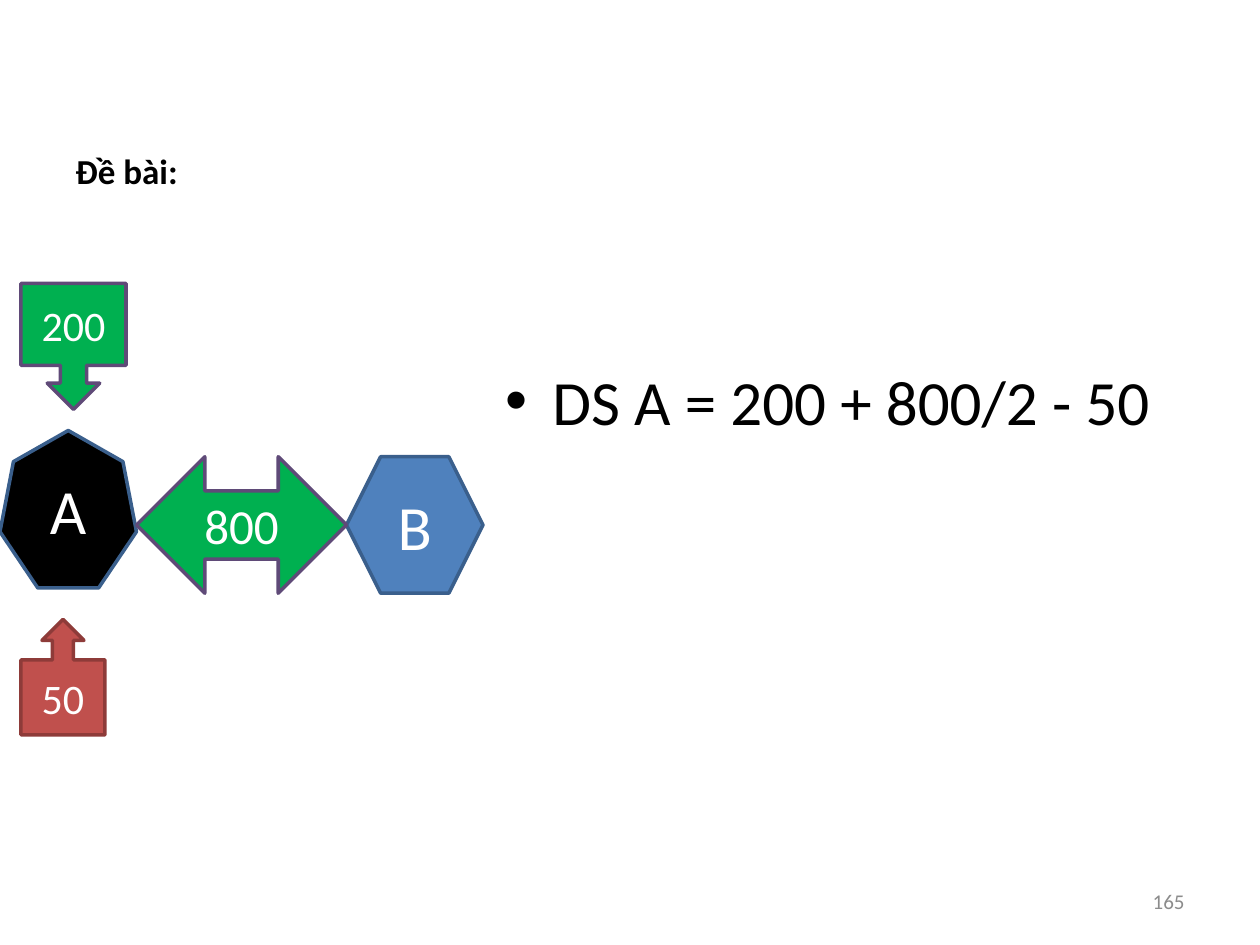
from pptx import Presentation
from pptx.dml.color import RGBColor
from pptx.enum.shapes import MSO_SHAPE
from pptx.enum.text import MSO_ANCHOR, PP_ALIGN
from pptx.oxml.ns import qn
from pptx.util import Pt
from lxml import etree

MIDDLE, BOTTOM, TOP = MSO_ANCHOR.MIDDLE, MSO_ANCHOR.BOTTOM, MSO_ANCHOR.TOP
LEFT, CENTER, RIGHT = PP_ALIGN.LEFT, PP_ALIGN.CENTER, PP_ALIGN.RIGHT
COLORS = {
    "black": "000000", "white": "FFFFFF", "gray": "8C8C8C",
    "blue": "4F81BD", "dark blue": "3A5F8C",
    "green": "00B050", "purple": "5F4A78",
    "red": "C0504D", "dark red": "8E3B39",
}


def rgb(name):
    return RGBColor.from_string(COLORS[name])


def write(sp, text, size, color, align, anchor):
    """Put one line of text in a shape and return its paragraph."""
    tf = sp.text_frame
    tf.word_wrap = True
    tf.vertical_anchor = anchor
    p = tf.paragraphs[0]
    p.text = text
    p.alignment = align
    p.font.name = "Calibri"
    p.font.size = Pt(size)
    p.font.color.rgb = rgb(color)
    return p


prs = Presentation()
prs.slide_width, prs.slide_height = Pt(720), Pt(540)
s = prs.slides.add_slide(prs.slide_layouts[6])

# Title and slide number
title = s.shapes.add_textbox(Pt(36), Pt(21.5), Pt(237), Pt(91.5))
write(title, "Đề bài:", 20, "black", LEFT, BOTTOM).font.bold = True
number = s.shapes.add_textbox(Pt(516), Pt(500.5), Pt(168), Pt(28.75))
write(number, "165", 12, "gray", RIGHT, MIDDLE)

# Bulleted formula, lowered by the top inset
body = s.shapes.add_textbox(Pt(281.5), Pt(21.5), Pt(402.5), Pt(461))
body.text_frame.margin_top = Pt(185.5)
p = write(body, "DS A = 200 + 800/2 - 50", 36, "black", LEFT, TOP)
pPr = p._p.get_or_add_pPr()
pPr.set("marL", str(Pt(27)))
pPr.set("indent", str(Pt(-27)))
bullet_font = etree.Element(qn("a:buFont"), typeface="Arial")
bullet = etree.Element(qn("a:buChar"), char="•")
pPr.insert(0, bullet_font)
bullet_font.addnext(bullet)

# Nodes A and B with the flows between and into them
diagram = [
    (MSO_SHAPE.HEPTAGON, 0, 246, 78, 90, "black", "dark blue", "A", 36),
    (MSO_SHAPE.HEXAGON, 198, 261, 78, 78, "blue", "dark blue", "B", 36),
    (MSO_SHAPE.LEFT_RIGHT_ARROW, 78, 261, 120, 78, "green", "purple", "800", 28),
    (MSO_SHAPE.DOWN_ARROW_CALLOUT, 12, 162, 60, 72, "green", "purple", "200", 24),
    (MSO_SHAPE.UP_ARROW_CALLOUT, 12, 354, 48, 66, "red", "dark red", "50", 24),
]
for kind, x, y, w, h, fill, line, text, size in diagram:
    sp = s.shapes.add_shape(kind, Pt(x), Pt(y), Pt(w), Pt(h))
    sp.shadow.inherit = False
    sp.fill.solid()
    sp.fill.fore_color.rgb = rgb(fill)
    sp.line.color.rgb = rgb(line)
    sp.line.width = Pt(2)
    write(sp, text, size, "white", CENTER, MIDDLE)

prs.save("out.pptx")
